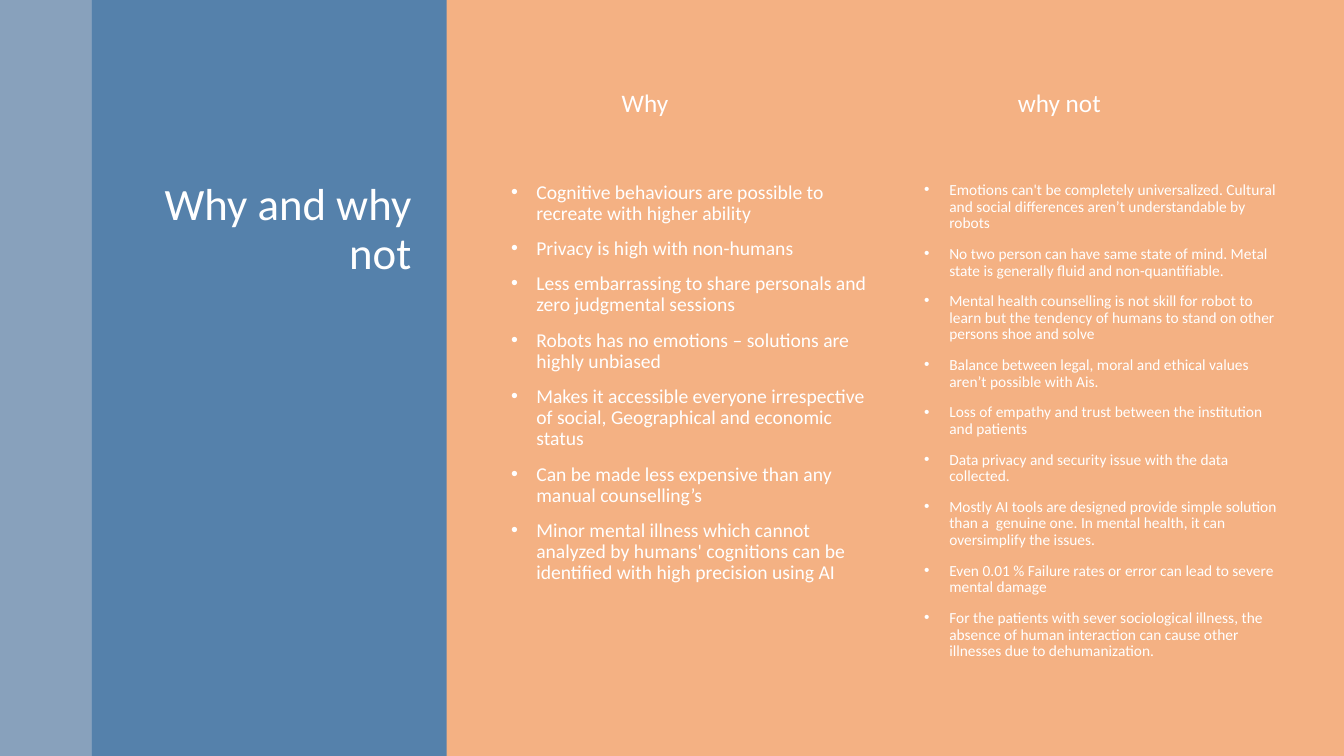
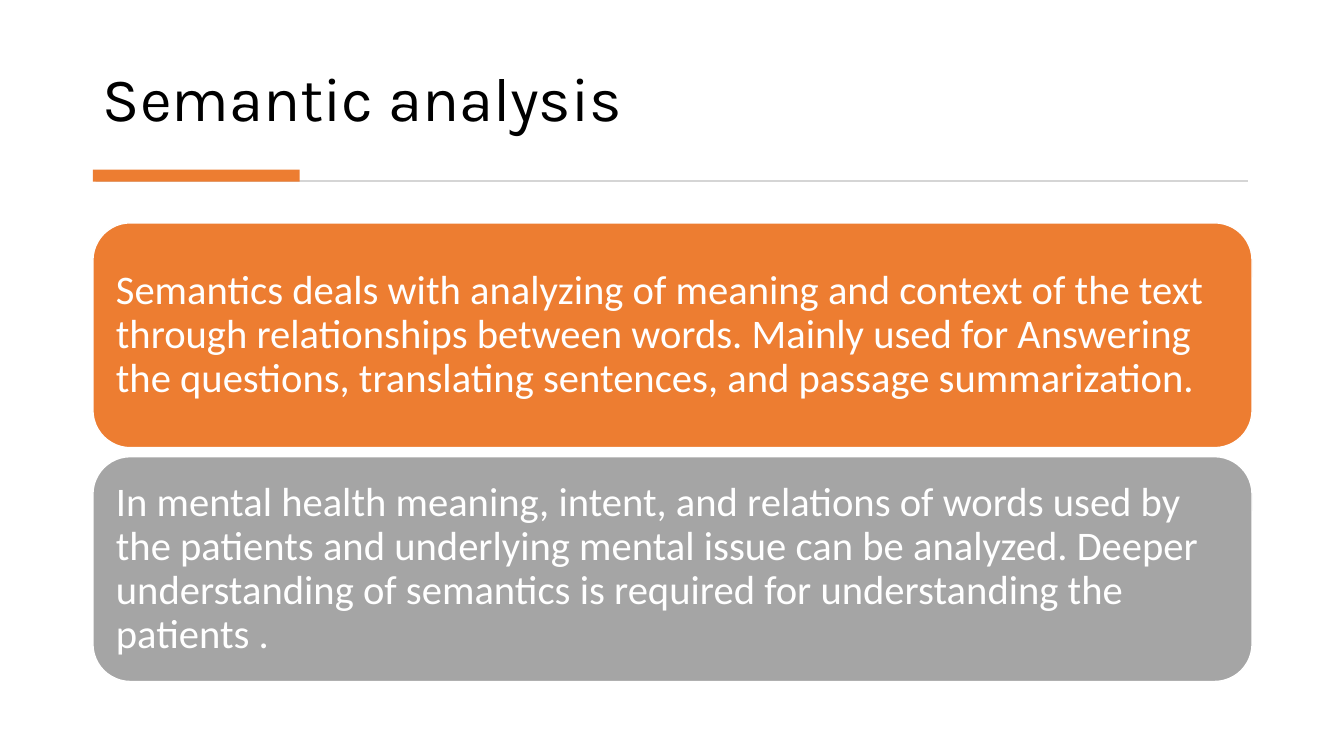
from collections import namedtuple

from lxml import etree
from pptx import Presentation
from pptx.dml.color import RGBColor
from pptx.enum import shapes, text
from pptx.oxml import ns
from pptx.util import Pt

# Shared style
COLORS = {
    "peach": "F4B183", "sky": "5B9BD5", "blue": "2E75B6", "orange": "ED7D31",
    "gray": "A5A5A5", "rule": "D5D5D5", "white": "FFFFFF", "black": "000000",
}
BODY_FONT, TITLE_FONT = "Calibri", "Karla"
INDENT = 18
Box = namedtuple("Box", "left top width height")
PAGE = Box(0, 0, 960, 540)
SHAPE = shapes.MSO_SHAPE
ALIGN = text.PP_ALIGN
ANCHOR = text.MSO_ANCHOR

# Content
WHY = [
    "Cognitive behaviours are possible to recreate with higher ability",
    "Privacy is high with non-humans",
    "Less embarrassing to share personals and zero judgmental sessions",
    "Robots has no emotions – solutions are highly unbiased",
    "Makes it accessible everyone irrespective of social, Geographical and economic status",
    "Can be made less expensive than any manual counselling’s",
    "Minor mental illness which cannot analyzed by humans' cognitions can be "
    "identified with high precision using AI",
]
WHY_NOT = [
    "Emotions can't be completely universalized. Cultural and social differences "
    "aren’t understandable by robots",
    "No two person can have same state of mind. Metal state is generally fluid "
    "and non-quantifiable.",
    "Mental health counselling is not skill for robot to learn but the tendency "
    "of humans to stand on other persons shoe and solve",
    "Balance between legal, moral and ethical values aren’t possible with Ais.",
    "Loss of empathy and trust between the institution and patients",
    "Data privacy and security issue with the data collected.",
    "Mostly AI tools are designed provide simple solution than a  genuine one. "
    "In mental health, it can oversimplify the issues.",
    "Even 0.01 % Failure rates or error can lead to severe mental damage",
    "For the patients with sever sociological illness, the absence of human "
    "interaction can cause other illnesses due to dehumanization.",
]
SEMANTICS = [
    ("orange", "Semantics deals with analyzing of meaning and context of the text "
     "through relationships between words. Mainly used for Answering the questions, "
     "translating sentences, and passage summarization."),
    ("gray", "In mental health meaning, intent, and relations of words used by the "
     "patients and underlying mental issue can be analyzed. Deeper understanding of "
     "semantics is required for understanding the patients ."),
]


def rgb(name):
    return RGBColor.from_string(COLORS[name])


def write(frame, paragraphs, *, size, color="white", font=BODY_FONT,
          align=ALIGN.LEFT, anchor=ANCHOR.TOP, spacing=0.9, before=0,
          bullet=None, inset=None):
    """Fill a text frame with one format for all its paragraphs."""
    frame.word_wrap = True
    frame.vertical_anchor = anchor
    if inset is not None:
        frame.margin_left = frame.margin_right = Pt(inset)
        frame.margin_top = frame.margin_bottom = Pt(inset)
    for index, words in enumerate(paragraphs):
        para = frame.add_paragraph() if index else frame.paragraphs[0]
        para.alignment = align
        para.line_spacing = spacing
        para.space_before = Pt(before)
        run = para.add_run()
        run.text = words
        run.font.size, run.font.name = Pt(size), font
        run.font.color.rgb = rgb(color)
        if bullet:
            props = para._p.get_or_add_pPr()
            props.set("marL", str(Pt(INDENT)))
            props.set("indent", str(-Pt(INDENT)))
            etree.SubElement(props, ns.qn("a:buFont"), typeface="Arial")
            etree.SubElement(props, ns.qn("a:buChar"), char=bullet)


def add_text(slide, box, paragraphs, **style):
    write(slide.shapes.add_textbox(*map(Pt, box)).text_frame, paragraphs, **style)


def add_block(slide, box, fill, *, kind=SHAPE.RECTANGLE, opacity=None, outline=None):
    block = slide.shapes.add_shape(kind, *map(Pt, box))
    block.shadow.inherit = False
    block.fill.solid()
    block.fill.fore_color.rgb = rgb(fill)
    if opacity is not None:
        color = block.fill._xPr.find(".//" + ns.qn("a:srgbClr"))
        etree.SubElement(color, ns.qn("a:alpha"), val=str(opacity * 1000))
    if outline:
        block.line.color.rgb = rgb(outline)
        block.line.width = Pt(1)
    else:
        block.line.fill.background()
    return block


def new_slide(deck, background):
    slide = deck.slides.add_slide(deck.slide_layouts[6])
    slide.background.fill.solid()
    slide.background.fill.fore_color.rgb = rgb(background)
    return slide


def side_panel(slide, box, title):
    """Two translucent bands with a right-aligned title in the wider one."""
    edge = 65.6
    add_block(slide, box._replace(width=edge), "sky", opacity=70)
    band = box._replace(left=box.left + edge, width=box.width - edge)
    add_block(slide, band, "blue", opacity=80)
    add_text(slide, Box(band.left + 13, box.top + 126.6, band.width - 31, 354),
             [title], size=32, align=ALIGN.RIGHT)


def bullet_column(slide, box, heading, points, *, size, heading_offset):
    """A heading above a bulleted list."""
    head = Box(box.left + heading_offset, box.top, box.width - heading_offset, 29)
    add_text(slide, head, [heading], size=18, spacing=1)
    body = box._replace(top=box.top + 67.6, height=box.height - 67.6)
    add_text(slide, body, points, size=size, before=10, bullet="•")


def title_header(slide, box, title):
    """A title over a thin rule with a thick accent at its left."""
    add_text(slide, box._replace(height=80), [title], size=44, color="black",
             font=TITLE_FONT, anchor=ANCHOR.BOTTOM)
    bottom = box.top + box.height
    add_block(slide, Box(box.left + 2, bottom - 1.4, box.width - 5, 1.4), "rule")
    add_block(slide, Box(box.left, bottom - 8.9, 147.6, 8.6), "orange")


def card_stack(slide, box, cards, gap=6.4):
    """Rounded cards of equal height, one above the other."""
    height = (box.height - gap * (len(cards) - 1)) / len(cards)
    for index, (fill, words) in enumerate(cards):
        place = Box(box.left, box.top + index * (height + gap), box.width, height)
        card = add_block(slide, place, fill, kind=SHAPE.ROUNDED_RECTANGLE,
                         outline="white")
        write(card.text_frame, [words], size=29, anchor=ANCHOR.MIDDLE, inset=8.6)


def comparison_slide(deck):
    slide = new_slide(deck, "peach")
    side_panel(slide, Box(0, 0, 319, PAGE.height), "Why and why not")
    column = Box(358, 59, 269.2, 422)
    bullet_column(slide, column, "Why", WHY, size=14, heading_offset=79)
    bullet_column(slide, column._replace(left=653), "why not", WHY_NOT,
                  size=11, heading_offset=67)


def semantics_slide(deck):
    slide = new_slide(deck, "white")
    title_header(slide, Box(66.4, 20, 828, 110), "Semantic analysis")
    card_stack(slide, Box(66.4, 159.2, 828, 327.6), SEMANTICS)


def main():
    deck = Presentation()
    deck.slide_width, deck.slide_height = Pt(PAGE.width), Pt(PAGE.height)
    comparison_slide(deck)
    semantics_slide(deck)
    deck.save("out.pptx")


if __name__ == "__main__":
    main()
